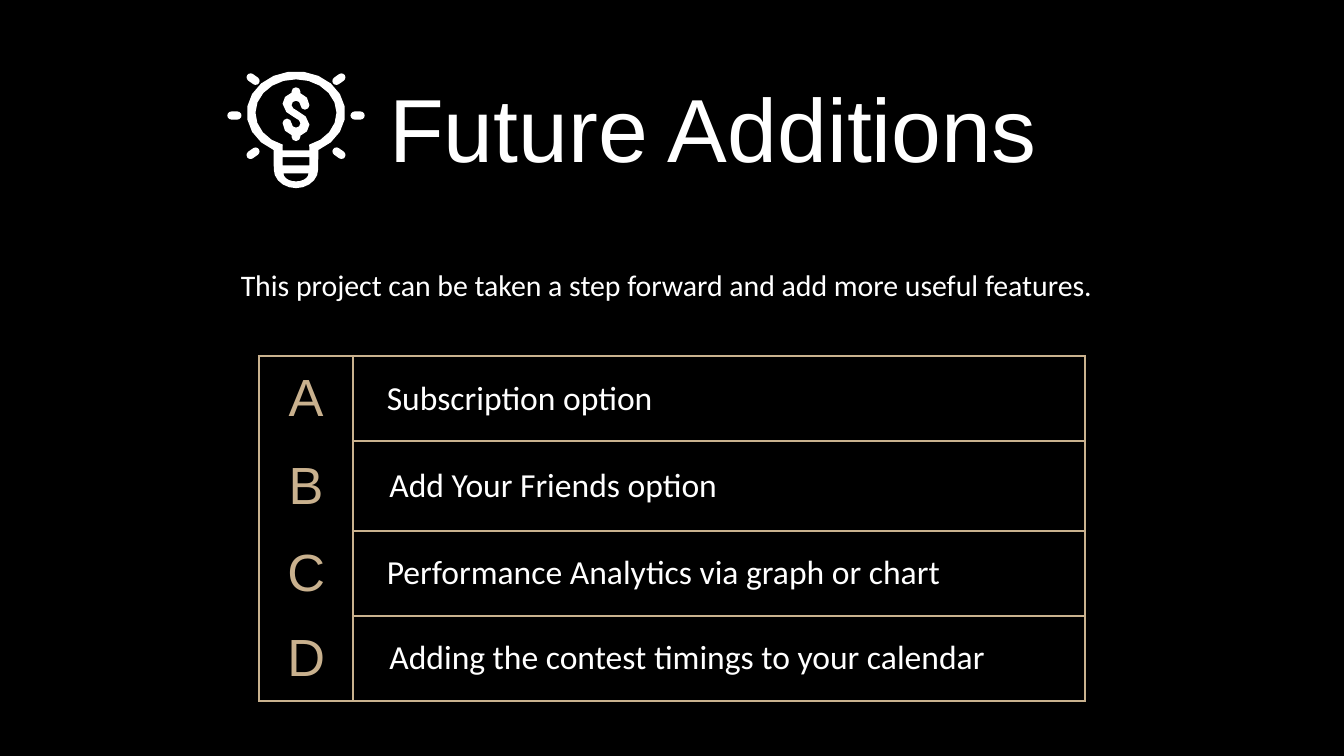
import math
from dataclasses import dataclass

import pptx
import pptx.dml.color
import pptx.enum.shapes
import pptx.enum.text
import pptx.oxml
import pptx.oxml.ns
import pptx.util

Pt = pptx.util.Pt
ALIGN = pptx.enum.text.PP_ALIGN
ANCHOR = pptx.enum.text.MSO_ANCHOR
Point = tuple[float, float]

COLORS = {"background": "000000", "text": "FFFFFF", "gold": "C9B18E"}
INSET = 7.2
INDENT = 10.8
BULB_X, BULB_Y = 158.6, 60.5


@dataclass
class Feature:
    letter: str
    text: str
    height: float = 45.5
    indent: float = INDENT


@dataclass
class Ray:
    dx: float
    y: float
    angle: float


FEATURES = [
    Feature("A", "Subscription option"),
    Feature("B", "Add Your Friends option", height=48.2, indent=12.2),
    Feature("C", "Performance Analytics via graph or chart"),
    Feature("D", "Adding the contest timings to your calendar", indent=12.2),
]

RAYS = [Ray(33, 61.9, 0), Ray(23, 42.4, -35), Ray(23, 82.1, 35)]

# Left half of the dollar sign around its centre: lines (1 point), curves (3 points).
DOLLAR_START = (0, -14.4)
DOLLAR_HALF = [
    [(-1.3, -14.4), (-2.4, -13.4), (-2.4, -12.1)],
    [(-2.4, -11.5)],
    [(-5.2, -10.6), (-7.2, -8.3), (-7.2, -5.6)],
    [(-7.2, -2), (-3.9, 0.2), (-0.9, 1.7)],
    [(1, 2.7), (2.4, 3.5), (2.4, 4.8)],
    [(2.4, 6.2), (1.3, 7.2), (0, 7.2)],
    [(-1.3, 7.2), (-2.4, 6.2), (-2.4, 4.8)],
    [(-2.4, 3.5), (-3.5, 2.4), (-4.8, 2.4)],
    [(-6.1, 2.4), (-7.2, 3.5), (-7.2, 4.8)],
    [(-7.2, 8), (-5.2, 10.3), (-2.4, 11.2)],
    [(-2.4, 12.1)],
    [(-2.4, 13.4), (-1.3, 14.4), (0, 14.4)],
]


def rgb(name: str):
    return pptx.dml.color.RGBColor.from_string(COLORS[name])


def write(tf, text: str, *, size: float, font: str, color: str = "text",
          align=ALIGN.LEFT, indent: float = 0) -> None:
    p = tf.paragraphs[0]
    p.alignment = align
    if indent:
        pPr = p._p.get_or_add_pPr()
        pPr.set("marL", str(Pt(indent)))
        pPr.set("indent", "0")
    r = p.add_run()
    r.text = text
    r.font.size = Pt(size)
    r.font.name = font
    r.font.bold = False
    r.font.color.rgb = rgb(color)


def add_text(s, left: float, top: float, width: float, height: float,
             text: str, **style) -> None:
    tf = s.shapes.add_textbox(Pt(left), Pt(top), Pt(width), Pt(height)).text_frame
    tf.word_wrap = True
    tf.margin_left = tf.margin_right = tf.margin_top = tf.margin_bottom = Pt(INSET)
    write(tf, text, **style)


def set_borders(cell, visible: str) -> None:
    """Draw the sides named in visible (letters of LRTB) and hide the others."""
    tcPr = cell._tc.get_or_add_tcPr()
    for side in "LRTB":
        fill = (f'<a:solidFill><a:srgbClr val="{COLORS["gold"]}"/></a:solidFill>'
                if side in visible else "<a:noFill/>")
        tcPr.append(pptx.oxml.parse_xml(
            f'<a:ln{side} {pptx.oxml.ns.nsdecls("a")} w="{Pt(1.5)}">{fill}</a:ln{side}>'))


def format_cell(cell, borders: str, text: str, **style) -> None:
    set_borders(cell, borders)
    cell.fill.background()
    cell.vertical_anchor = ANCHOR.MIDDLE
    cell.margin_left = cell.margin_right = Pt(INSET)
    cell.margin_top = cell.margin_bottom = Pt(5)
    write(cell.text_frame, text, **style)


def add_features(s, left: float, top: float) -> None:
    widths = (50.4, 392)
    height = sum(f.height for f in FEATURES)
    table = s.shapes.add_table(len(FEATURES), len(widths), Pt(left), Pt(top),
                               Pt(sum(widths)), Pt(height)).table
    table.first_row = table.horz_banding = False
    for column, width in zip(table.columns, widths):
        column.width = Pt(width)
    for i, feature in enumerate(FEATURES):
        table.rows[i].height = Pt(feature.height)
        edges = "LR" + "T" * (i == 0) + "B" * (i == len(FEATURES) - 1)
        format_cell(table.cell(i, 0), edges, feature.letter, size=28, font="Arial",
                    color="gold", align=ALIGN.CENTER)
        format_cell(table.cell(i, 1), "LRTB", feature.text, size=18, font="Calibri",
                    indent=feature.indent)


def paint(sp) -> None:
    sp.shadow.inherit = False
    sp.fill.solid()
    sp.fill.fore_color.rgb = rgb("text")
    sp.line.fill.background()


def add_outline(s, contours: list[list[Point]]) -> None:
    """Fill closed contours as one shape; inner contours become holes."""
    scaled = [[(Pt(x), Pt(y)) for x, y in contour] for contour in contours]
    builder = s.shapes.build_freeform(*scaled[0][0])
    for i, contour in enumerate(scaled):
        if i:
            builder.move_to(*contour[0])
        builder.add_line_segments(contour[1:], close=True)
    paint(builder.convert_to_shape())


def arc(cy: float, rx: float, ry: float, start: float, end: float) -> list[Point]:
    """Points of an elliptical arc on the bulb's axis, in degrees, clockwise."""
    steps = math.ceil((end - start) / 18)
    angles = [math.radians(start + (end - start) * i / steps) for i in range(steps + 1)]
    return [(BULB_X + rx * math.cos(a), cy + ry * math.sin(a)) for a in angles]


def curve(points: list[Point], steps: int = 2) -> list[Point]:
    """Points of a cubic Bezier curve after its start."""
    result = []
    for t in (i / steps for i in range(1, steps + 1)):
        weights = ((1 - t) ** 3, 3 * t * (1 - t) ** 2, 3 * t * t * (1 - t), t ** 3)
        result.append((sum(w * x for w, (x, _) in zip(weights, points)),
                       sum(w * y for w, (_, y) in zip(weights, points))))
    return result


def add_bulb(s) -> None:
    neck, left, right = 80.6, BULB_X - 7.2, BULB_X + 7.2
    outer = arc(BULB_Y, 26.4, 22.3, 117, 423) + arc(90.7, 11.9, 10.1, 0, 180)
    glass = arc(BULB_Y, 21.7, 18, 109, 431) + [(right, neck), (left, neck)]
    band = [(left, 84.2), (right, 84.2), (right, 88.6), (left, 88.6)]
    tip = arc(92.9, 6.7, 4.3, 0, 180)
    add_outline(s, [outer, glass, band, tip])


def add_dollar(s, cy: float) -> None:
    half = [DOLLAR_START]
    for piece in DOLLAR_HALF:
        half += piece if len(piece) == 1 else curve([half[-1], *piece])
    turned = [(-x, -y) for x, y in half]
    add_outline(s, [[(BULB_X + x, cy + y) for x, y in half + turned]])


def add_rays(s) -> None:
    width, height = 7.6, 4.3
    for ray in RAYS:
        for side in (-1, 1):
            sp = s.shapes.add_shape(
                pptx.enum.shapes.MSO_SHAPE.ROUNDED_RECTANGLE,
                Pt(BULB_X + side * ray.dx - width / 2), Pt(ray.y - height / 2),
                Pt(width), Pt(height))
            sp.adjustments[0] = 0.5
            sp.rotation = side * ray.angle
            paint(sp)


def main() -> None:
    prs = pptx.Presentation()
    prs.slide_width, prs.slide_height = Pt(720), Pt(405)
    s = prs.slides.add_slide(prs.slide_layouts[6])
    s.background.fill.solid()
    s.background.fill.fore_color.rgb = rgb("background")

    add_text(s, 76.3, 32.1, 611.3, 55.4, "Future Additions",
             size=48, font="Arial", align=ALIGN.CENTER)
    add_text(s, 111.1, 135.7, 498.2, 55.4,
             "This project can be taken a step forward and add more useful features.",
             size=16, font="Calibri", indent=INDENT)
    add_features(s, 138.8, 190.8)
    add_bulb(s)
    add_dollar(s, 61.2)
    add_rays(s)
    prs.save("out.pptx")


if __name__ == "__main__":
    main()
